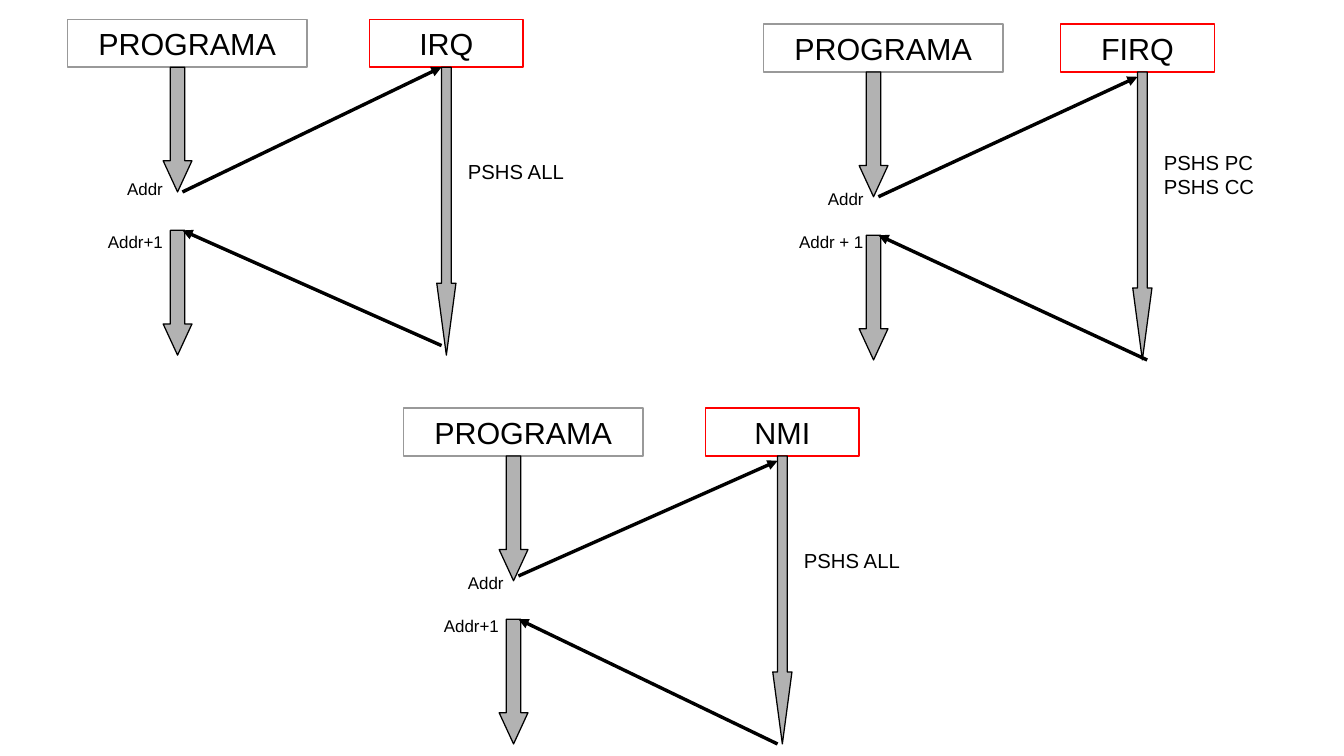
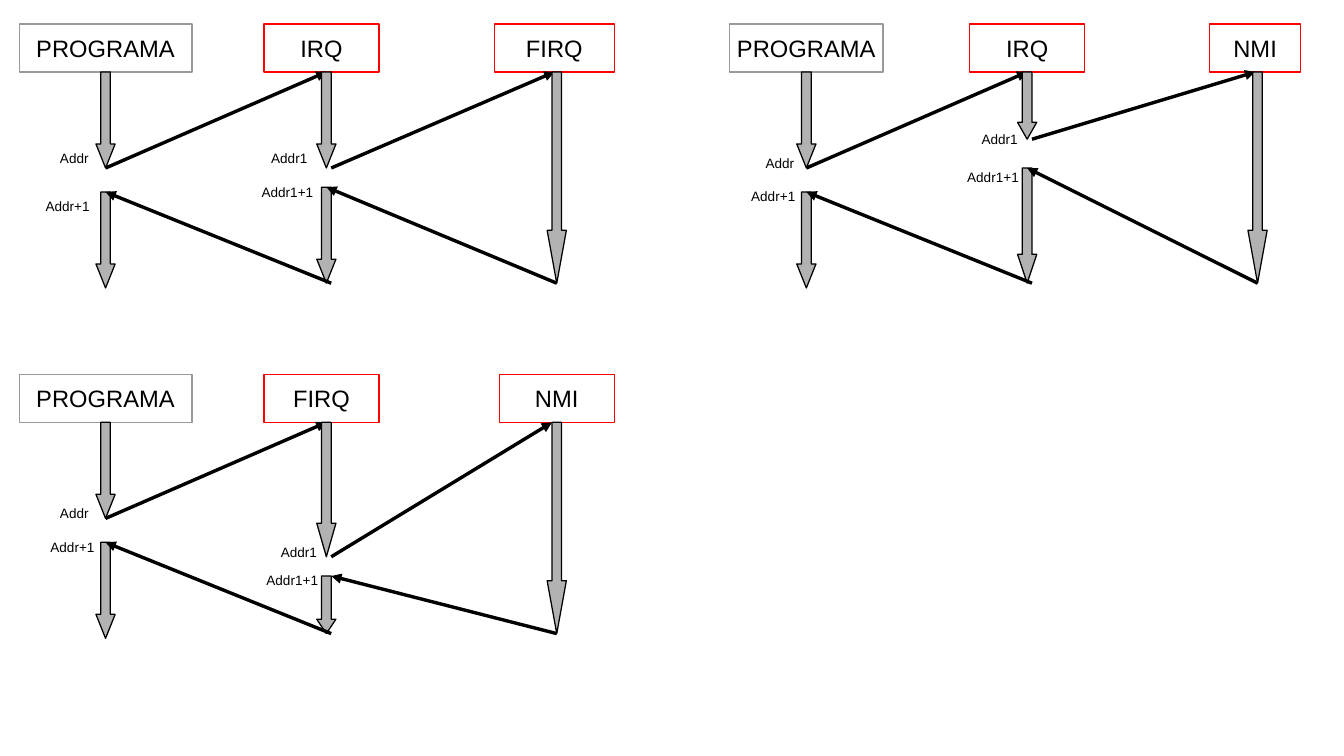
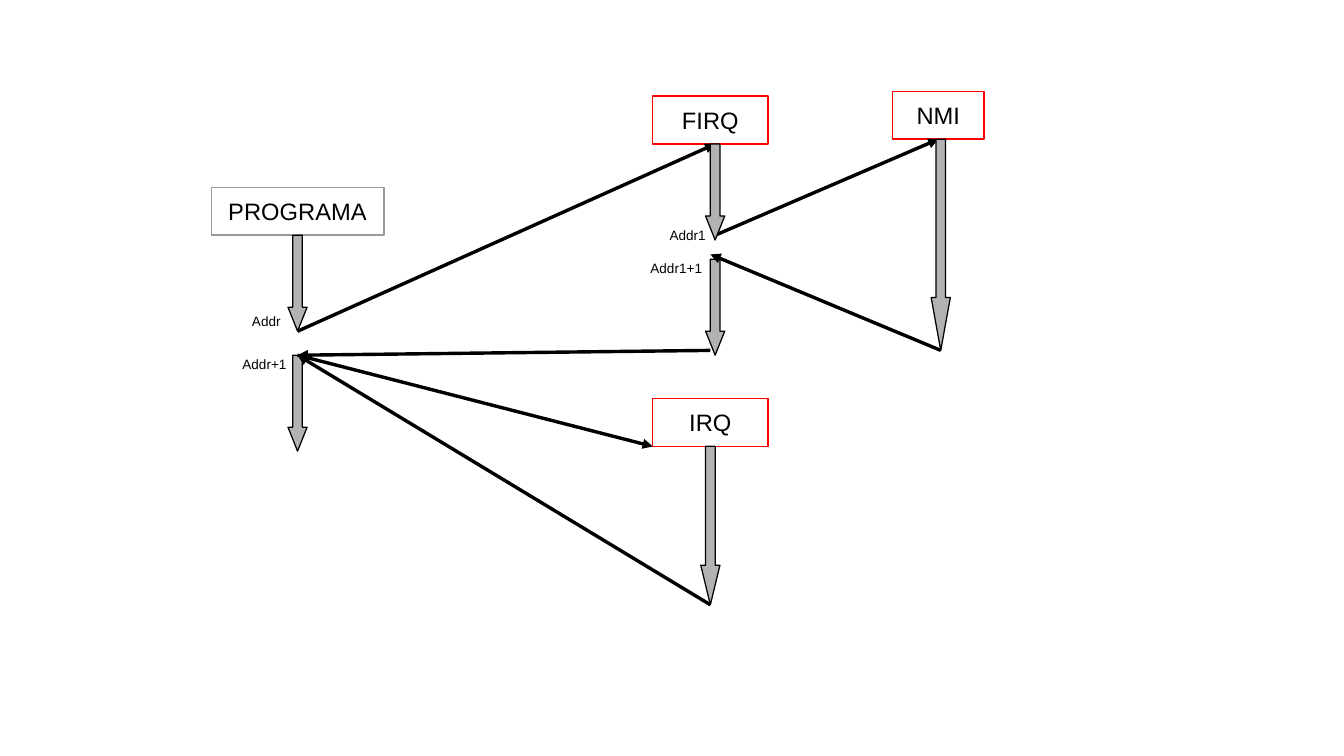
from dataclasses import dataclass

from lxml import etree
from pptx import Presentation
from pptx.dml.color import RGBColor
from pptx.enum.shapes import MSO_CONNECTOR as LINE, MSO_SHAPE as SHAPE
from pptx.enum.text import MSO_ANCHOR, MSO_AUTO_SIZE, PP_ALIGN
from pptx.oxml.ns import qn
from pptx.util import Cm, Pt

BLACK = RGBColor(0x00, 0x00, 0x00)
WHITE = RGBColor(0xFF, 0xFF, 0xFF)
RED = RGBColor(0xFF, 0x00, 0x00)
GRAY = RGBColor(0x99, 0x99, 0x99)
SILVER = RGBColor(0xB2, 0xB2, 0xB2)
FONT = "Arial"
BOX_H = 1.0
BOTTOM = 2
JOIN_TOLERANCE = Cm(0.06)
LINE_HEIGHTS = {8: 0.55, 10: 0.64, 12: 0.74}
LABEL_WIDTHS = {"Addr": 1.2, "Addr1": 1.4, "Addr+1": 1.6, "Addr1+1": 1.6}


@dataclass
class Lane:
    title: str
    left: float
    top: float
    width: float
    axis: float
    arrows: list
    size: int = 14
    arrow_w: float = 0.4


def paint(sp, fill, line):
    sp.shadow.inherit = False
    sp.fill.solid()
    sp.fill.fore_color.rgb = fill
    sp.line.color.rgb = line
    sp.line.width = Pt(0)


def style(p, size):
    p.font.size = Pt(size)
    p.font.name = FONT
    p.font.color.rgb = BLACK


def add_box(s, lane):
    sp = s.shapes.add_shape(SHAPE.RECTANGLE, Cm(lane.left), Cm(lane.top),
                            Cm(lane.width), Cm(BOX_H))
    paint(sp, WHITE, GRAY if lane.title == "PROGRAMA" else RED)
    tf = sp.text_frame
    tf.word_wrap = False
    tf.vertical_anchor = MSO_ANCHOR.MIDDLE
    p = tf.paragraphs[0]
    p.text = lane.title
    p.alignment = PP_ALIGN.CENTER
    style(p, lane.size)
    return sp


def add_arrow(s, axis, top, height, width):
    sp = s.shapes.add_shape(SHAPE.DOWN_ARROW, Cm(axis - width / 2), Cm(top),
                            Cm(width), Cm(height))
    sp.adjustments[0] = 0.5
    sp.adjustments[1] = height / 4 / width
    paint(sp, SILVER, BLACK)


def add_jump(s, start, end, boxes):
    sp = s.shapes.add_connector(LINE.STRAIGHT, *map(Cm, start + end))
    sp.line.color.rgb = BLACK
    sp.line.width = Pt(0)
    etree.SubElement(sp.line._get_or_add_ln(), qn("a:tailEnd"), type="triangle")
    etree.SubElement(sp._element.spPr, qn("a:effectLst"))
    for box in boxes:
        dx = box.left + box.width // 2 - sp.end_x
        dy = box.top + box.height - sp.end_y
        if max(abs(dx), abs(dy)) < JOIN_TOLERANCE:
            sp.end_connect(box, BOTTOM)


def add_label(s, text, left, top, width, size):
    lines = text.split("\n")
    sp = s.shapes.add_textbox(Cm(left), Cm(top), Cm(width),
                              Cm(LINE_HEIGHTS[size] + 0.48 * (len(lines) - 1)))
    tf = sp.text_frame
    tf.word_wrap = True
    tf.auto_size = MSO_AUTO_SIZE.SHAPE_TO_FIT_TEXT
    for i, line in enumerate(lines):
        p = tf.add_paragraph() if i else tf.paragraphs[0]
        p.text = line
        style(p, size)


def add_diagram(s, lanes, calls, returns):
    boxes = [add_box(s, lane) for lane in lanes]
    for start, end in calls:
        add_jump(s, start, end, boxes)
    for lane in lanes:
        for top, height in lane.arrows:
            add_arrow(s, lane.axis, top, height, lane.arrow_w)
    for start, end in returns:
        add_jump(s, start, end, boxes)


def add_address_labels(s, labels):
    for text, left, top in labels:
        add_label(s, text, left, top, LABEL_WIDTHS[text], 8)


def add_single_interrupt(s, x, y, name, box_dx, call, back, labels):
    def at(point):
        return x + point[0], y + point[1]

    lanes = [
        Lane("PROGRAMA", x, y, 5, x + 2.3, [(y + 1, 2.6), (y + 4.4, 2.6)], 18, 0.6),
        Lane(name, x + box_dx, y, 3.2, x + 7.9, [(y + 1, 6)], 18),
    ]
    calls, returns = ([tuple(map(at, jump))] for jump in (call, back))
    add_diagram(s, lanes, calls, returns)
    for text, dx, dy, width, size in labels:
        add_label(s, text, *at((dx, dy)), width, size)


def single_interrupts(s):
    add_single_interrupt(
        s, 1.4, 0.4, "IRQ", 6.3,
        ((2.4, 3.6), (7.8, 1)), ((7.8, 6.8), (2.4, 4.4)),
        [("Addr", 1, 3.2, 2.4, 10), ("Addr+1", 0.6, 4.3, 2.4, 10),
         ("PSHS ALL", 8.1, 2.8, 2.6, 12)])
    add_single_interrupt(
        s, 15.9, 0.5, "FIRQ", 6.2,
        ((2.4, 3.6), (7.8, 1.1)), ((8, 7), (2.4, 4.4)),
        [("Addr", 1.1, 3.3, 2.4, 10), ("Addr + 1", 0.5, 4.2, 2.4, 10),
         ("PSHS PC\nPSHS CC", 8.1, 2.5, 2.4, 12)])
    add_single_interrupt(
        s, 8.4, 8.5, "NMI", 6.3,
        ((2.4, 3.5), (7.8, 1.1)), ((7.8, 7), (2.4, 4.4)),
        [("Addr", 1.1, 3.3, 1.4, 10), ("Addr+1", 0.6, 4.2, 1.8, 10),
         ("PSHS ALL", 8.1, 2.8, 2.6, 12)])


def nested_interrupts(s):
    add_diagram(
        s,
        [Lane("PROGRAMA", 0.4, 0.5, 3.6, 2.2, [(1.5, 2), (4, 2)]),
         Lane("IRQ", 5.5, 0.5, 2.4, 6.8, [(1.5, 2), (3.9, 2)]),
         Lane("FIRQ", 10.3, 0.5, 2.5, 11.6, [(1.5, 4.4)])],
        [((2.2, 3.5), (6.8, 1.5)), ((6.9, 3.5), (11.5, 1.5))],
        [((11.6, 5.9), (6.8, 3.9)), ((6.9, 5.9), (2.2, 4))])
    add_diagram(
        s,
        [Lane("PROGRAMA", 15.2, 0.5, 3.2, 16.8, [(1.5, 2), (4, 2)]),
         Lane("IRQ", 20.2, 0.5, 2.4, 21.4, [(1.5, 1.4), (3.5, 2.4)]),
         Lane("NMI", 25.2, 0.5, 1.9, 26.2, [(1.5, 4.4)])],
        [((16.8, 3.5), (21.4, 1.5)), ((21.5, 2.9), (26.1, 1.5))],
        [((26.2, 5.9), (21.4, 3.5)), ((21.5, 5.9), (16.8, 4))])
    add_diagram(
        s,
        [Lane("PROGRAMA", 0.4, 7.8, 3.6, 2.2, [(8.8, 2), (11.3, 2)]),
         Lane("FIRQ", 5.5, 7.8, 2.4, 6.8, [(8.8, 2.8), (12, 1.2)]),
         Lane("NMI", 10.4, 7.8, 2.4, 11.6, [(8.8, 4.4)])],
        [((2.2, 10.8), (6.8, 8.8)), ((6.9, 11.6), (11.5, 8.8))],
        [((11.6, 13.2), (6.9, 12)), ((6.9, 13.2), (2.2, 11.3))])
    add_address_labels(s, [
        ("Addr", 1, 3), ("Addr+1", 0.7, 4),
        ("Addr1", 5.4, 3), ("Addr1+1", 5.2, 3.7),
        ("Addr", 15.7, 3.1), ("Addr+1", 15.4, 3.8),
        ("Addr1", 20.2, 2.6), ("Addr1+1", 19.9, 3.4),
        ("Addr", 1, 10.4), ("Addr+1", 0.8, 11.1),
        ("Addr1", 5.6, 11.2), ("Addr1+1", 5.3, 11.8)])


def pending_interrupt(s):
    resume = (6.2, 7.4)
    add_diagram(
        s,
        [Lane("PROGRAMA", 4.4, 3.9, 3.6, 6.2, [(4.9, 2), (7.4, 2)]),
         Lane("FIRQ", 13.6, 2, 2.4, 14.9, [(3, 2), (5.4, 2)]),
         Lane("IRQ", 13.6, 8.3, 2.4, 14.8, [(9.3, 3.3)]),
         Lane("NMI", 18.6, 1.9, 1.9, 19.6, [(2.9, 4.4)])],
        [((6.2, 6.9), (14.9, 3)), ((14.9, 4.9), (19.5, 2.9))],
        [((14.8, 7.3), resume), (resume, (13.6, 9.3)),
         ((19.6, 7.3), (14.8, 5.3)), ((14.8, 12.6), resume)])
    add_address_labels(s, [
        ("Addr", 5, 6.4), ("Addr+1", 4.8, 7.3),
        ("Addr1", 13.7, 4.6), ("Addr1+1", 13.3, 5.3)])


def main():
    prs = Presentation()
    prs.slide_width, prs.slide_height = Cm(28), Cm(15.75)
    blank = prs.slide_layouts[6]
    for build in (single_interrupts, nested_interrupts, pending_interrupt):
        build(prs.slides.add_slide(blank))
    prs.save("out.pptx")


if __name__ == "__main__":
    main()
